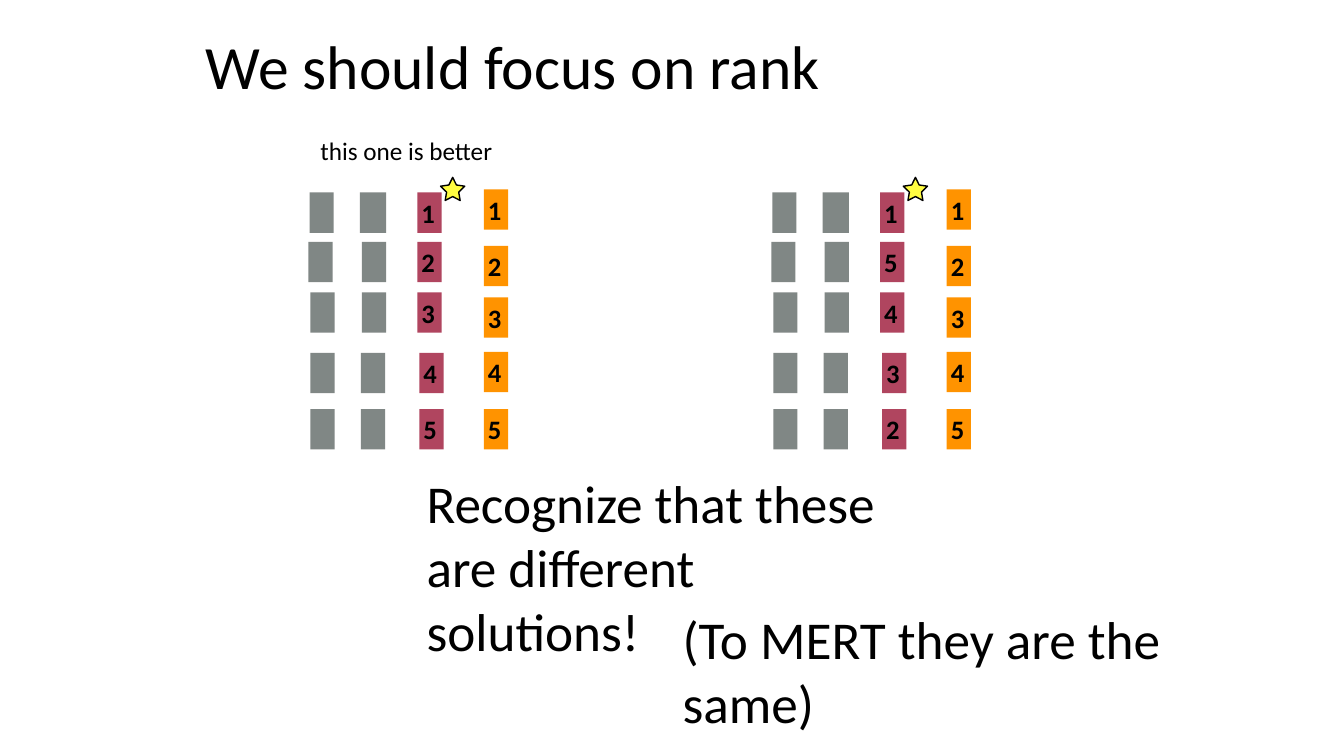
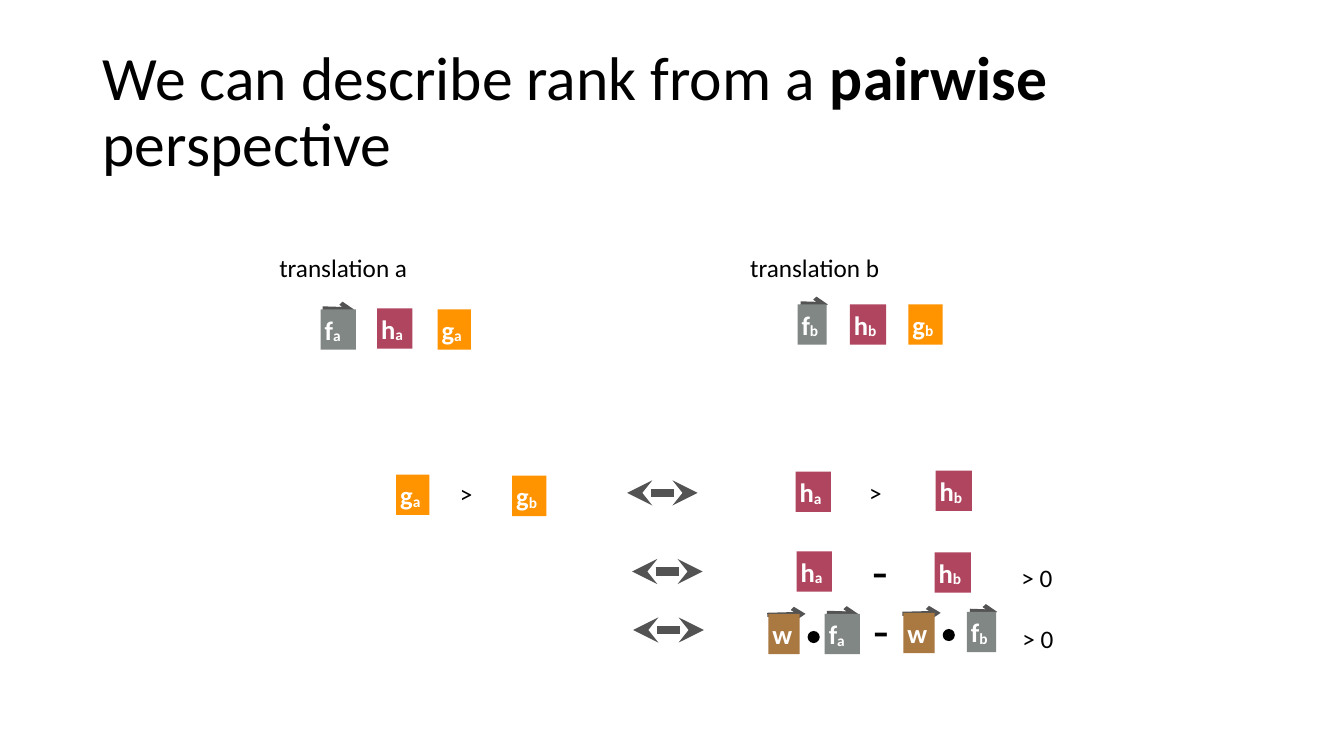
"""Build two slides on ranking translations, by list order and by pairs."""
from lxml.etree import SubElement
from pptx import Presentation
from pptx.dml.color import RGBColor
from pptx.enum.shapes import MSO_CONNECTOR, MSO_SHAPE
from pptx.enum.text import MSO_ANCHOR, MSO_AUTO_SIZE, PP_ALIGN
from pptx.oxml.ns import qn
from pptx.util import Pt

PX = 9144
SLIDE_SIZE = (1333, 750)
FONT = "Calibri"

BLACK = RGBColor(0x00, 0x00, 0x00)
WHITE = RGBColor(0xFF, 0xFF, 0xFF)
GREY = RGBColor(0x80, 0x87, 0x85)
DARK_GREY = RGBColor(0x53, 0x53, 0x53)
RED = RGBColor(0xB0, 0x45, 0x5F)
ORANGE = RGBColor(0xFF, 0x93, 0x00)
BROWN = RGBColor(0xAA, 0x79, 0x42)
YELLOW = RGBColor(0xFF, 0xFC, 0x41)

WIDE_INSETS = (10, 5)
TIGHT_INSETS = (4, 4)
CELL_WIDTH, CELL_HEIGHT = 24, 40

RANK_TITLE = [("We should focus on rank", {})]
RANK_TITLE_BOX = (194, 16, 945, 105)
RANK_CAPTION = ("this one is better", (308, 129, 193, 40))
RANK_REMARKS = [
    ("Recognize that these are different solutions!", (419, 476, 495, 172)),
    ("(To MERT they are the same)", (673, 579, 495, 172)),
]
RANK_PANELS = [(0, "12345"), (459, "15432")]
RANK_ROWS = [
    {"top": 191, "greys": [(307, 24), (357, 26)], "red": 414, "orange_top": 188},
    {"top": 240, "greys": [(306, 24), (359, 24)], "red": 414, "orange_top": 244},
    {"top": 290, "greys": [(308, 24), (359, 24)], "red": 414, "orange_top": 295},
    {"top": 350, "greys": [(308, 24), (358, 24)], "red": 416, "orange_top": 349},
    {"top": 406, "greys": [(308, 24), (358, 24)], "red": 416, "orange_top": 406},
]
ORANGE_LEFT = 480
STAR_BOX = (437, 176, 24, 23)

PAIR_TITLE = [
    ("We can describe rank from a ", {}),
    ("pairwise", {"bold": True}),
    (" perspective", {}),
]
PAIR_TITLE_BOX = (92, 40, 1150, 145)
PAIR_LABELS = [
    ("translation a", (273, 246, 136, 38), 18),
    ("translation b", (740, 246, 137, 38), 18),
    (">", (452, 470, 21, 38), 18),
    (">", (858, 469, 21, 38), 18),
    ("> 0", (1009, 554, 39, 38), 18),
    ("> 0", (1010, 614, 39, 38), 18),
    ("-", (861, 531, 24, 69), 36.6),
    ("-", (862, 589, 24, 69), 36.6),
]
SYMBOLS = {
    "fa": {"width": 35, "fill": GREY, "vector": ((33, 0), (2, -1))},
    "fb": {"width": 29, "fill": GREY, "vector": ((30, 0), (3, -1))},
    "w": {"width": 31, "fill": BROWN, "vector": ((37, 0), (-1, 1))},
    "ha": {"width": 35, "fill": RED},
    "hb": {"width": 36, "fill": RED},
    "ga": {"width": 33, "fill": ORANGE},
    "gb": {"width": 34, "fill": ORANGE},
}
SYMBOL_PLACES = [
    ("fa", 318, 307), ("ha", 374, 306), ("ga", 434, 307),
    ("fb", 791, 302), ("hb", 843, 302), ("gb", 901, 302),
    ("ga", 393, 471), ("gb", 508, 472), ("ha", 789, 468), ("hb", 928, 467),
    ("ha", 790, 547), ("hb", 927, 548),
    ("w", 762, 609), ("fa", 818, 609), ("w", 896, 608), ("fb", 959, 607),
]
DOT_SIZE = 12
DOTS = [(801, 626), (935, 624)]
EQUIVALENCES = [(622, 489), (627, 567), (628, 625)]
EQUIVALENCE_WIDTH = 70


def scaled(lengths):
    return [length * PX for length in lengths]


def write(frame, runs, size, color=BLACK, insets=TIGHT_INSETS, grow=True, wrap=False, spacing=None):
    across, down = scaled(insets)
    layout = {
        "margin_left": across, "margin_right": across,
        "margin_top": down, "margin_bottom": down,
        "vertical_anchor": MSO_ANCHOR.MIDDLE, "word_wrap": wrap,
        "auto_size": MSO_AUTO_SIZE.SHAPE_TO_FIT_TEXT if grow else MSO_AUTO_SIZE.NONE,
    }
    for name, value in layout.items():
        setattr(frame, name, value)
    paragraph = frame.paragraphs[0]
    paragraph.alignment = PP_ALIGN.LEFT
    if spacing:
        paragraph.line_spacing = spacing
    for text, style in runs:
        run = paragraph.add_run()
        run.text = text
        style = {"name": FONT, "size": Pt(size), "bold": False, **style}
        baseline = style.pop("baseline", None)
        for name, value in style.items():
            setattr(run.font, name, value)
        run.font.color.rgb = color
        if baseline:
            run._r.get_or_add_rPr().set("baseline", baseline)


def add_text(shapes, runs, box, size, **options):
    write(shapes.add_textbox(*scaled(box)).text_frame, runs, size, **options)


def add_title(slide, runs, box):
    add_text(slide.shapes, runs, box, 44, insets=WIDE_INSETS, grow=False, wrap=True, spacing=0.9)


def add_figure(shapes, kind, box, fill, outline=None):
    figure = shapes.add_shape(kind, *scaled(box))
    figure.shadow.inherit = False
    figure.fill.solid()
    figure.fill.fore_color.rgb = fill
    if outline is None:
        figure.line.fill.background()
    else:
        figure.line.color.rgb = outline
        figure.line.width = Pt(1)
    return figure


def add_cell(shapes, left, top, fill, runs=(), width=CELL_WIDTH, color=BLACK):
    cell = add_figure(shapes, MSO_SHAPE.RECTANGLE, (left, top, width, CELL_HEIGHT), fill)
    if runs:
        write(cell.text_frame, runs, 19, color)


def add_arrow(shapes, start, end, width, heads):
    arrow = shapes.add_connector(MSO_CONNECTOR.STRAIGHT, *scaled(start + end))
    arrow.line.color.rgb = DARK_GREY
    arrow.line.width = Pt(width)
    for tag, kind in heads.items():
        SubElement(arrow.line._get_or_add_ln(), qn(f"a:{tag}")).set("type", kind)
    SubElement(arrow._element.spPr, qn("a:effectLst"))


def add_symbol(shapes, name, left, top):
    symbol = SYMBOLS[name]
    if "vector" in symbol:
        shapes = shapes.add_group_shape().shapes
        start, end = ((left + dx, top + dy) for dx, dy in symbol["vector"])
        add_arrow(shapes, start, end, 3, {"headEnd": "arrow"})
    runs = [(name[0], {"bold": True})]
    if name[1:]:
        runs.append((name[1:], {"bold": True, "baseline": "-6000"}))
    add_cell(shapes, left, top, symbol["fill"], runs, symbol["width"], WHITE)


def build_rank(slide):
    shapes = slide.shapes
    add_title(slide, RANK_TITLE, RANK_TITLE_BOX)
    for remark, box in RANK_REMARKS:
        add_text(shapes, [(remark, {})], box, 38, grow=False, wrap=True)
    for shift, ranks in RANK_PANELS:
        for place, (rank, row) in enumerate(zip(ranks, RANK_ROWS), 1):
            for left, width in row["greys"]:
                add_cell(shapes, left + shift, row["top"], GREY, width=width)
            add_cell(shapes, row["red"] + shift, row["top"], RED, [(rank, {"bold": True})])
            add_cell(shapes, ORANGE_LEFT + shift, row["orange_top"], ORANGE,
                     [(str(place), {"bold": True})])
        left, *rest = STAR_BOX
        star = add_figure(shapes, MSO_SHAPE.STAR_5_POINT, (left + shift, *rest), YELLOW, BLACK)
        star.adjustments[0] = 0.25
    caption, box = RANK_CAPTION
    add_text(shapes, [(caption, {})], box, 18, insets=WIDE_INSETS)


def build_pairs(slide):
    shapes = slide.shapes
    add_title(slide, PAIR_TITLE, PAIR_TITLE_BOX)
    for label, box, size in PAIR_LABELS:
        add_text(shapes, [(label, {})], box, size)
    for left, top in EQUIVALENCES:
        add_arrow(shapes, (left, top), (left + EQUIVALENCE_WIDTH, top), 6,
                  {"headEnd": "stealth", "tailEnd": "stealth"})
    for name, left, top in SYMBOL_PLACES:
        add_symbol(shapes, name, left, top)
    for left, top in DOTS:
        add_figure(shapes, MSO_SHAPE.OVAL, (left, top, DOT_SIZE, DOT_SIZE), BLACK)


def main():
    deck = Presentation()
    deck.slide_width, deck.slide_height = scaled(SLIDE_SIZE)
    for build in (build_rank, build_pairs):
        build(deck.slides.add_slide(deck.slide_layouts[6]))
    deck.save("out.pptx")


if __name__ == "__main__":
    main()
